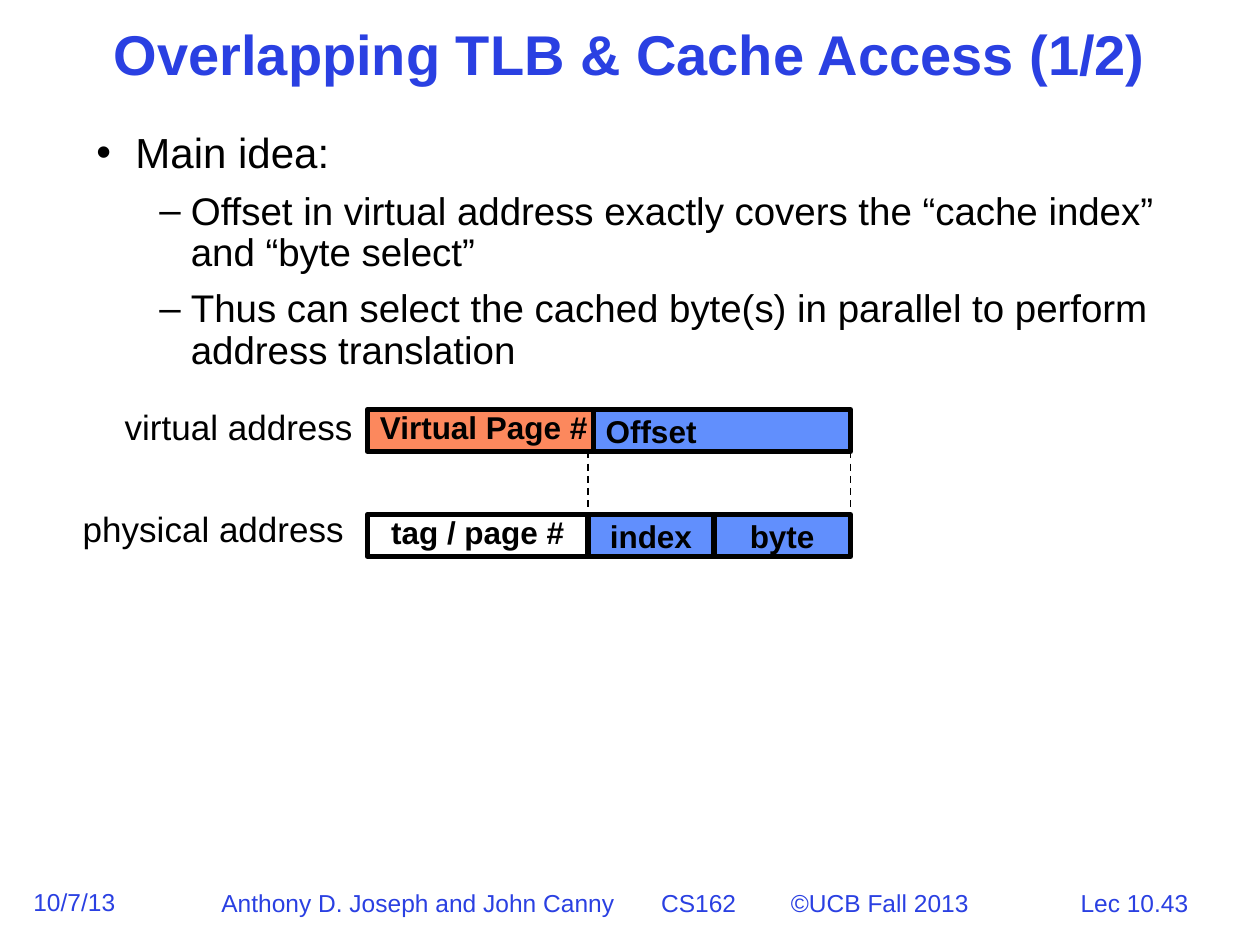
from dataclasses import dataclass

from lxml import etree
from pptx import Presentation, util as u
from pptx.dml.color import RGBColor
from pptx.enum import dml, shapes, text
from pptx.oxml.ns import qn

# Grid of twelve columns and twelve rows to the inch
COLUMNS, ROWS = 120, 90
CELL = u.Inches(1) // 12

BLUE, BLACK, WHITE = "2A40E2", "000000", "FFFFFF"
OFFSET_BLUE, PAGE_ORANGE = "618FFD", "FC885D"
LEFT, CENTER = text.PP_ALIGN.LEFT, text.PP_ALIGN.CENTER
TOP, MIDDLE = text.MSO_ANCHOR.TOP, text.MSO_ANCHOR.MIDDLE

FIELD_HEIGHT = 4
VIRTUAL_ROW, PHYSICAL_ROW = 39, 49
PAGE_LEFT, OFFSET_LEFT, BYTE_LEFT, ADDRESS_END = 35, 56, 68, 81


@dataclass(frozen=True)
class Field:
    """One part of an address, between two columns."""
    label: str
    start: float
    end: float
    row: float
    fill: str
    align: text.PP_ALIGN = CENTER
    spacing: float = 1.0


@dataclass(frozen=True)
class Label:
    words: str
    column: float
    row: float
    width: float
    height: float
    size: float
    color: str
    align: text.PP_ALIGN = LEFT
    bold: bool = False
    spacing: float = 1.0
    anchor: text.MSO_ANCHOR = TOP
    tabs: tuple[float, ...] = ()


@dataclass(frozen=True)
class Point:
    words: str
    size: float
    bullet: str
    indent: float
    hanging: float
    before: float
    level: int = 0


FIELDS = (
    Field("Offset", OFFSET_LEFT + 0.5, ADDRESS_END, VIRTUAL_ROW, OFFSET_BLUE, LEFT),
    Field("Virtual Page #", PAGE_LEFT, OFFSET_LEFT + 0.5, VIRTUAL_ROW, PAGE_ORANGE, LEFT, 0.75),
    Field("index", OFFSET_LEFT, BYTE_LEFT, PHYSICAL_ROW, OFFSET_BLUE),
    Field("tag / page #", PAGE_LEFT, OFFSET_LEFT, PHYSICAL_ROW, WHITE, spacing=0.75),
    Field("byte", BYTE_LEFT, ADDRESS_END, PHYSICAL_ROW, OFFSET_BLUE),
)
LABELS = (
    Label("Lec 10.43", 97.7, 84, 20.7, 4, 14, BLUE, CENTER),
    Label("10/7/13", 2, 83.9, 12, 4, 14, BLUE),
    Label("Anthony D. Joseph and John Canny\tCS162\t©UCB Fall 2013",
          19.9, 84, 75, 4, 14, BLUE, tabs=(3.49, 4.52)),
    Label("Overlapping TLB & Cache Access (1/2)", 9, 2, 102, 7, 32, BLUE,
          CENTER, True, 0.9, MIDDLE),
    Label("virtual address", 10.7, 38, 25, 5.25, 20, BLACK),
    Label("physical address", 6.7, 47.75, 28.2, 5.25, 20, BLACK),
)
POINTS = (
    Point("Main idea:", 24, "•", 0.31, 0.31, 9),
    Point("Offset in virtual address exactly covers the “cache index” and “byte select”",
          22, "–", 0.75, 0.25, 8.2, 1),
    Point("Thus can select the cached byte(s) in parallel to perform address translation",
          22, "–", 0.75, 0.25, 8.2, 1),
)


def grid(*cells: float) -> list[int]:
    return [u.Emu(round(cell * CELL)) for cell in cells]


def rgb(value: str) -> RGBColor:
    return RGBColor.from_string(value)


def write(paragraph, words: str, *, size: float, color: str = BLACK, bold: bool = False,
          align: text.PP_ALIGN = LEFT, spacing: float = 1.0) -> None:
    paragraph.alignment, paragraph.line_spacing = align, spacing
    run = paragraph.add_run()
    run.text = words
    run.font.name, run.font.size, run.font.bold = "Arial", u.Pt(size), bold
    run.font.color.rgb = rgb(color)


def set_tabs(paragraph, stops: tuple[float, ...]) -> None:
    """Add left tab stops, in inches from the start of the text."""
    tab_list = etree.SubElement(paragraph._p.get_or_add_pPr(), qn("a:tabLst"))
    for stop in stops:
        etree.SubElement(tab_list, qn("a:tab"), pos=str(u.Inches(stop)), algn="l")


def set_bullet(paragraph, point: Point) -> None:
    properties = paragraph._p.get_or_add_pPr()
    properties.set("marL", str(u.Inches(point.indent)))
    properties.set("indent", str(-u.Inches(point.hanging)))
    bullet_color = etree.SubElement(properties, qn("a:buClr"))
    etree.SubElement(bullet_color, qn("a:srgbClr"), val=BLACK)
    etree.SubElement(properties, qn("a:buFont"), typeface="Arial")
    etree.SubElement(properties, qn("a:buChar"), char=point.bullet)


def draw_label(slide, label: Label) -> None:
    frame = slide.shapes.add_textbox(
        *grid(label.column, label.row, label.width, label.height)).text_frame
    frame.word_wrap, frame.vertical_anchor = True, label.anchor
    paragraph = frame.paragraphs[0]
    write(paragraph, label.words, size=label.size, color=label.color, bold=label.bold,
          align=label.align, spacing=label.spacing)
    if label.tabs:
        set_tabs(paragraph, label.tabs)


def draw_points(slide, points: tuple[Point, ...]) -> None:
    frame = slide.shapes.add_textbox(*grid(8, 12, 104, 25)).text_frame
    frame.word_wrap = True
    for number, point in enumerate(points):
        paragraph = frame.add_paragraph() if number else frame.paragraphs[0]
        paragraph.level, paragraph.space_before = point.level, u.Pt(point.before)
        write(paragraph, point.words, size=point.size, spacing=0.9)
        set_bullet(paragraph, point)


def draw_field(slide, field: Field) -> None:
    box = slide.shapes.add_shape(
        shapes.MSO_SHAPE.RECTANGLE,
        *grid(field.start, field.row, field.end - field.start, FIELD_HEIGHT))
    box.shadow.inherit = False
    box.fill.solid()
    box.fill.fore_color.rgb = rgb(field.fill)
    box.line.color.rgb, box.line.width = rgb(BLACK), u.Pt(3)
    frame = box.text_frame
    frame.word_wrap, frame.vertical_anchor = False, MIDDLE
    write(frame.paragraphs[0], field.label, size=18, bold=True,
          align=field.align, spacing=field.spacing)


def draw_boundary(slide, column: float) -> None:
    """Draw a dashed line from the virtual address down to the physical one."""
    boundary = slide.shapes.add_connector(
        shapes.MSO_CONNECTOR.STRAIGHT,
        *grid(column, VIRTUAL_ROW + FIELD_HEIGHT, column, PHYSICAL_ROW + 1))
    boundary.line.color.rgb, boundary.line.width = rgb(BLACK), u.Pt(1)
    boundary.line.dash_style = dml.MSO_LINE.DASH
    etree.SubElement(boundary._element.spPr, qn("a:effectLst"))


def main() -> None:
    deck = Presentation()
    deck.slide_width, deck.slide_height = grid(COLUMNS, ROWS)
    slide = deck.slides.add_slide(deck.slide_layouts[6])
    draw_points(slide, POINTS)
    for field in FIELDS:
        draw_field(slide, field)
    for column in (OFFSET_LEFT, ADDRESS_END):
        draw_boundary(slide, column)
    for label in LABELS:
        draw_label(slide, label)
    deck.save("out.pptx")


if __name__ == "__main__":
    main()
